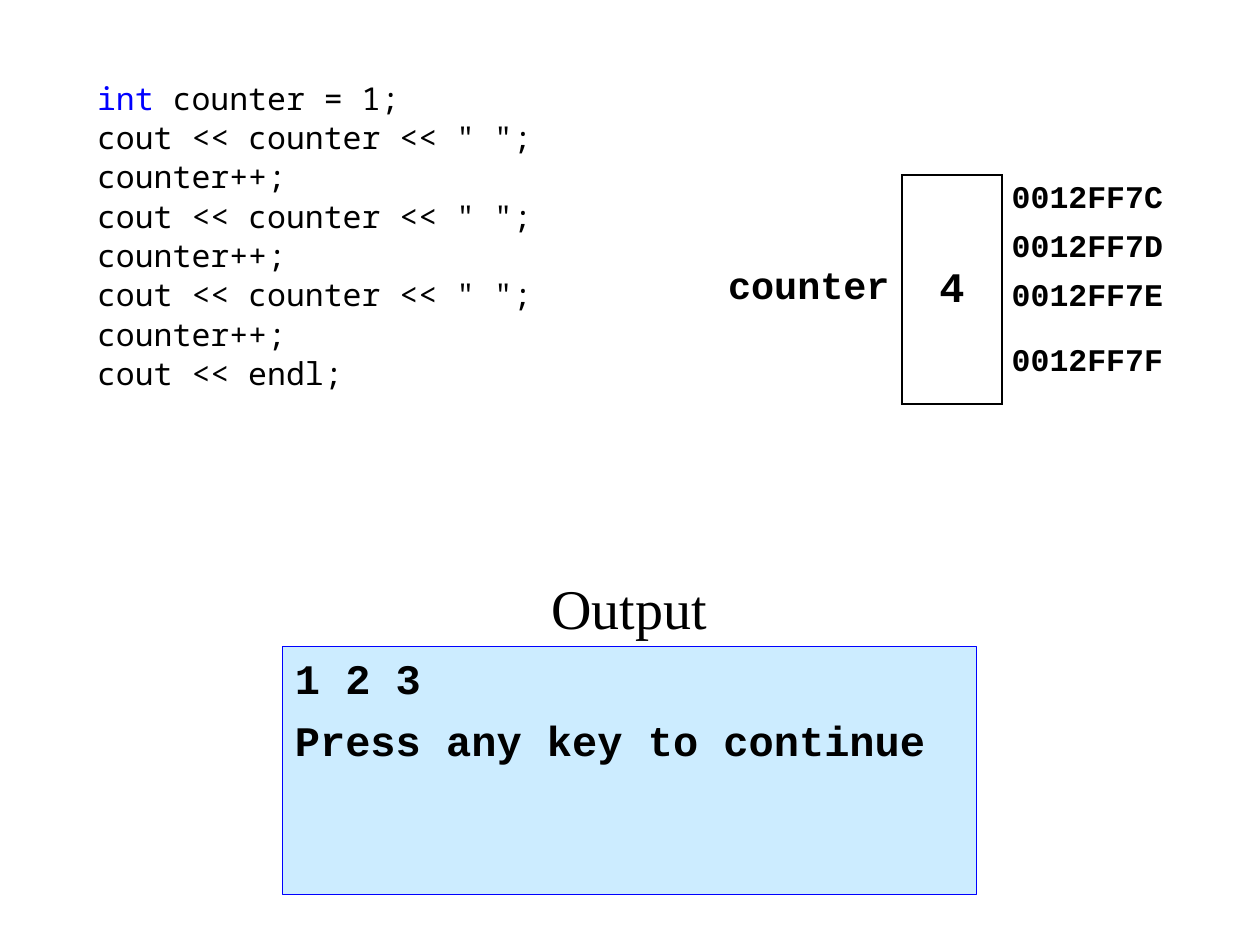
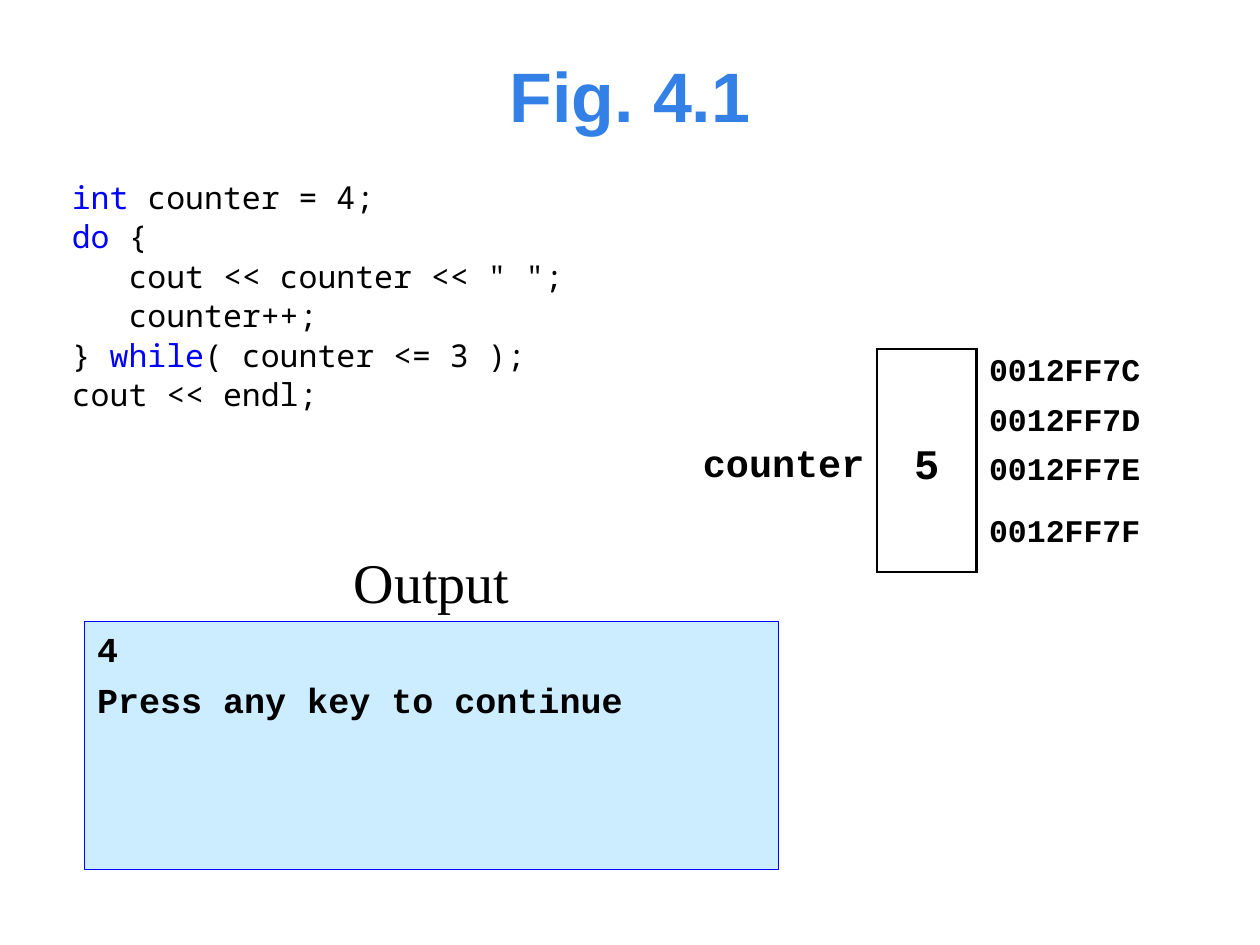
"""Build two slides that trace a counter variable through code, memory and output."""
from lxml import etree
from pptx import Presentation
from pptx import util as u
from pptx.dml.color import RGBColor
from pptx.enum import text
from pptx.oxml import ns

COLOURS = {"ink": "000000", "keyword": "0000FF", "title": "3380E6",
           "screen": "CCECFF", "screen_edge": "0000FF"}
KEYWORDS = {"int", "do", "while"}
ADDRESSES = ["0012FF7C", "0012FF7D", "0012FF7E", "0012FF7F"]
PLAIN_TABLE = "{2D5ABB26-0587-4C30-8999-92F81FD0307C}"
ROW_HEIGHT = 0.39
LEFT, CENTRE, RIGHT = text.PP_ALIGN.LEFT, text.PP_ALIGN.CENTER, text.PP_ALIGN.RIGHT
TOP, MIDDLE, BOTTOM = (text.MSO_ANCHOR.TOP, text.MSO_ANCHOR.MIDDLE,
                       text.MSO_ANCHOR.BOTTOM)

SLIDES = [
    {"title": None,
     "code": [["int", " counter = 1;"]]
             + [['cout << counter << " ";'], ["counter++;"]] * 3
             + [["cout << endl;"]],
     "code_at": (0.67, 0.6, 4.13, 3.35),
     "value": "4", "memory_at": (5.59, 1.39), "columns": (1.57, 0.79, 1.38),
     "value_margins": (0, 0.14, 0.12), "address_margin": 0.08,
     "output": [["1 2 3"], ["Press any key to continue"]],
     "output_size": 24, "output_gap": 6.5, "screen_at": (2.24, 5.13)},
    {"title": "Fig. 4.1",
     "code": [["int", " counter = 4;"], ["do", " {"],
              ['   cout << counter << " ";'], ["   counter++;"],
              ["} ", "while", "( counter <= 3 );"], ["cout << endl;"]],
     "code_at": (0.47, 1.39, 4.53, 2.56),
     "value": "5", "memory_at": (5.39, 2.77), "columns": (1.57, 0.79, 1.57),
     "value_margins": (0.02, 0.05, 0.05), "address_margin": 0.1,
     "output": [["4"], ["Press any key to continue"]],
     "output_size": 20, "output_gap": 5.4, "screen_at": (0.67, 4.93)},
]


def write(frame, lines, font="Courier New", size=18, colour="ink", bold=True,
          align=LEFT, spacing=1.0, gap=0, hanging=0):
    """Fill a text frame with lines, each a list of spans; keywords get their colour."""
    for number, line in enumerate(lines):
        para = frame.paragraphs[0] if number == 0 else frame.add_paragraph()
        properties = para._p.get_or_add_pPr()
        properties.set("marL", str(u.Inches(hanging)))
        properties.set("indent", str(-u.Inches(hanging)))
        etree.SubElement(properties, ns.qn("a:buNone"))
        para.alignment = align
        para.line_spacing = spacing
        para.space_before = u.Pt(gap if number else 0)
        for words in line:
            span = para.add_run()
            span.text = words
            span.font.name = font
            span.font.size = u.Pt(size)
            span.font.bold = bold
            name = "keyword" if words in KEYWORDS else colour
            span.font.color.rgb = RGBColor.from_string(COLOURS[name])


def place(box, left, top, width, height, anchor=TOP, wrap=True):
    """Position a text shape and fix how its text sits; return its frame."""
    box.left, box.top = u.Inches(left), u.Inches(top)
    box.width, box.height = u.Inches(width), u.Inches(height)
    frame = box.text_frame
    frame.auto_size = text.MSO_AUTO_SIZE.NONE
    frame.word_wrap = wrap
    frame.vertical_anchor = anchor
    return frame


deck = Presentation()
deck.slide_width, deck.slide_height = u.Inches(10), u.Inches(7.5)

for content in SLIDES:
    page = deck.slides.add_slide(deck.slide_layouts[3])
    title, screen, code = list(page.placeholders)[:3]

    if content["title"]:
        frame = place(title, 0.67, 0.43, 8.66, 0.64, anchor=MIDDLE)
        write(frame, [[content["title"]]], font="Arial", size=40,
              colour="title", align=CENTRE)
    else:
        title._element.getparent().remove(title._element)

    left, top = content["screen_at"]
    frame = place(screen, left, top, 5.51, 1.97)
    screen.fill.solid()
    screen.fill.fore_color.rgb = RGBColor.from_string(COLOURS["screen"])
    screen.line.color.rgb = RGBColor.from_string(COLOURS["screen_edge"])
    screen.line.width = u.Pt(0.75)
    write(frame, content["output"], size=content["output_size"],
          gap=content["output_gap"], hanging=0.38)

    frame = place(code, *content["code_at"])
    write(frame, content["code"], font="Noto Sans Mono", bold=False,
          spacing=0.93, gap=2.4, hanging=0.69)

    left_edge, top_edge = content["memory_at"]
    rows = len(ADDRESSES)
    table = page.shapes.add_table(
        rows, 3, u.Inches(left_edge), u.Inches(top_edge),
        u.Inches(sum(content["columns"])), u.Inches(ROW_HEIGHT * rows)).table
    table.first_row = table.horz_banding = False
    table._tbl.tblPr.find(ns.qn("a:tableStyleId")).text = PLAIN_TABLE
    for column, width in zip(table.columns, content["columns"]):
        column.width = u.Inches(width)
    for column in (0, 1):
        table.cell(0, column).merge(table.cell(rows - 1, column))

    for row, address in enumerate(ADDRESSES):
        table.rows[row].height = u.Inches(ROW_HEIGHT)
        edges = ["lnL", "lnR"] + ["lnT"] * (row == 0) + ["lnB"] * (row in (0, rows - 1))
        for column, sides in enumerate((["lnR"], edges, [])):
            cell = table.cell(row, column)
            cell.vertical_anchor = MIDDLE
            properties = cell._tc.get_or_add_tcPr()
            for side in sides:
                border = etree.SubElement(properties, ns.qn("a:" + side),
                                          w=str(u.Pt(1.5)))
                fill = etree.SubElement(border, ns.qn("a:solidFill"))
                etree.SubElement(fill, ns.qn("a:srgbClr"), val=COLOURS["ink"])
            cell.fill.background()
        cell.margin_left = cell.margin_right = u.Inches(content["address_margin"])
        cell.margin_top = cell.margin_bottom = u.Inches(0.04)
        write(cell.text_frame, [[address]])

    above, below_name, below_value = content["value_margins"]
    for column, words, size, align, below in (
            (0, "counter", 22, RIGHT, below_name),
            (1, content["value"], 24, CENTRE, below_value)):
        cell = table.cell(0, column)
        cell.margin_left = cell.margin_right = u.Inches(0.1)
        cell.margin_top, cell.margin_bottom = u.Inches(above), u.Inches(below)
        write(cell.text_frame, [[words]], size=size, align=align, spacing=1.4)

    label = page.shapes.add_textbox(0, 0, 0, 0)
    frame = place(label, left + 1.97, top - 0.79, 1.57, 0.79,
                  anchor=BOTTOM, wrap=False)
    write(frame, [["Output"]], font="Times New Roman", size=32, bold=False,
          align=CENTRE)

deck.save("out.pptx")
